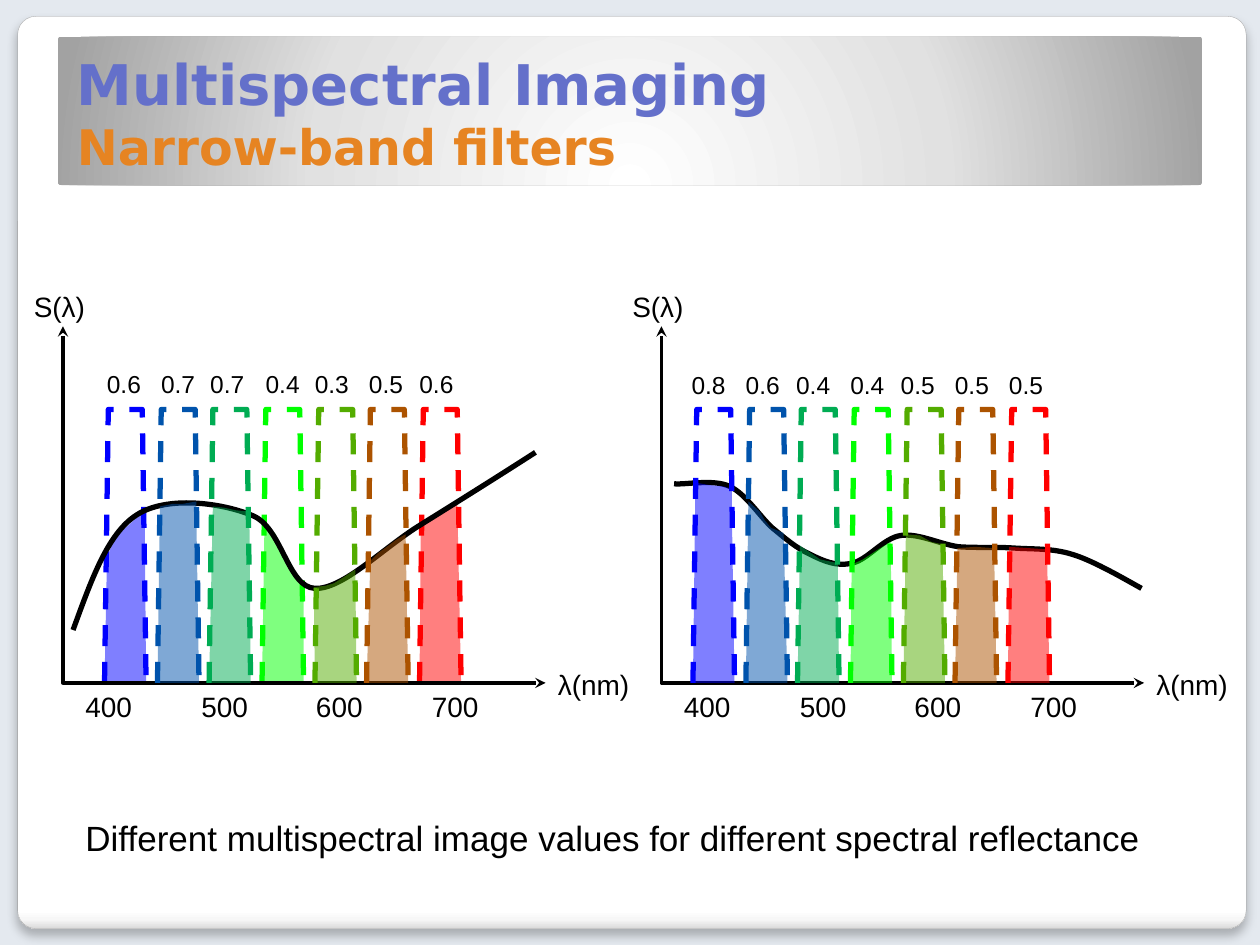
from pptx import Presentation, util as u
from pptx.dml.color import RGBColor
from pptx.enum import dml, shapes, text
from pptx.oxml import parse_xml
from pptx.oxml.ns import nsdecls
from pptx.oxml.xmlchemy import OxmlElement

PX = 9144
BLACK = RGBColor(0, 0, 0)
BACK = RGBColor(0xE4, 0xE9, 0xEF)
EDGE = RGBColor(0xA4, 0xA4, 0xA4)
VIOLET = RGBColor(0x64, 0x70, 0xCA)
ORANGE = RGBColor(0xE6, 0x84, 0x22)
HUES = [RGBColor.from_string(h) for h in
        "0000FF 0053AC 00AC53 00FF00 53AC00 AC5300 FF0000".split()]
BASE, TOP = 542, 325

TITLE = [("Multispectral Imaging", 32, VIOLET), ("Narrow-band filters", 28, ORANGE)]
CAPTION = "Different multispectral image values for different spectral reflectance"
TICKS = ["400", "500", "600", "700"]
CARD = [(0, "FFFFFF"), (98, "FFFFFF"), (99, "F7F7F7"), (100, "DADADA")]
BANNER = [(0, "FFFFFF"), (55, "E1E1E1"), (100, "A2A2A2")]
PANELS = [
    dict(axis=50, first=83, under=(0, 3, 6), row=288,
         values=[("0.6", 75), ("0.7", 118), ("0.7", 157), ("0.4", 201),
                 ("0.3", 240), ("0.5", 283), ("0.6", 323)],
         curve=[(58, 500), (72, 462), (85, 424), (108, 409), (132, 393), (176, 399),
                (200, 409), (224, 418), (228, 466), (250, 467), (272, 468),
                (304, 435), (333, 417), (362, 399), (394, 379), (425, 359)],
         areas=[[(85, 442), (92, 425), (102, 417), (114, 405), (115, 417)],
                [(127, 402), (137, 400), (145, 400), (156, 398), (156, 417)],
                [(169, 402), (178, 403), (187, 405), (197, 406), (198, 407)],
                [(210, 414), (219, 424), (226, 444), (241, 462)],
                [(249, 466), (258, 465), (265, 463), (273, 458), (282, 452)],
                [(294, 445), (300, 439), (307, 434), (315, 428), (322, 424)],
                [(334, 417), (363, 399)]]),
    dict(axis=525, first=550, under=(), row=289,
         values=[("0.8", 539), ("0.6", 582), ("0.4", 622), ("0.4", 665),
                 ("0.5", 705), ("0.5", 748), ("0.5", 791)],
         curve=[(535, 384), (543, 385), (566, 380), (579, 386), (592, 392), (603, 410),
                (613, 419), (624, 428), (632, 435), (643, 440), (653, 445), (664, 450),
                (676, 447), (688, 445), (701, 427), (715, 425), (729, 423), (746, 432),
                (761, 434), (776, 435), (790, 434), (805, 435), (820, 436), (835, 435),
                (851, 440), (868, 445), (895, 461), (906, 467)],
         areas=[[(552, 383), (563, 385), (574, 386), (581, 388), (581, 413)],
                [(594, 398), (603, 406), (607, 413), (612, 419), (622, 423)],
                [(635, 433), (651, 444), (665, 447)],
                [(676, 448), (685, 444), (697, 436), (707, 430)],
                [(719, 424), (730, 425), (739, 430), (748, 432)],
                [(760, 435), (774, 434), (789, 435)],
                [(801, 434), (831, 436)]]),
]

prs = Presentation()
prs.slide_width, prs.slide_height = 1000 * PX, 750 * PX
slide = prs.slides.add_slide(prs.slide_layouts[5])
slide.background.fill.solid()
slide.background.fill.fore_color.rgb = BACK


def panel_box(box, stops, kind):
    shp = slide.shapes.add_shape(shapes.MSO_SHAPE.ROUNDED_RECTANGLE, *[v * PX for v in box])
    shp.adjustments[0] = 0.02
    shp.shadow.inherit = False
    shp.line.fill.background()
    marks = "".join(f'<a:gs pos="{p * 1000}"><a:srgbClr val="{c}"/></a:gs>' for p, c in stops)
    props = shp._element.spPr
    props.find("./{*}prstGeom").addnext(parse_xml(
        f'<a:gradFill {nsdecls("a")} rotWithShape="1"><a:gsLst>{marks}</a:gsLst>{kind}</a:gradFill>'))
    return shp


def label(txt, x, y, w, h, size):
    box = slide.shapes.add_textbox(x * PX, y * PX, w * PX, h * PX)
    frame = box.text_frame
    frame.word_wrap = False
    frame.auto_size = text.MSO_AUTO_SIZE.SHAPE_TO_FIT_TEXT
    par = frame.paragraphs[0]
    par.text = txt
    par.font.size, par.font.name, par.font.color.rgb = u.Pt(size), "Arial", BLACK


def outline(pts, color, width=None, close=False):
    pen = slide.shapes.build_freeform(*pts[0], scale=PX)
    pen.add_line_segments(pts[1:], close=close)
    shp = pen.convert_to_shape()
    shp.shadow.inherit = False
    if width:
        shp.fill.background()
        shp.line.color.rgb = color
        shp.line.width = u.Pt(width)
    else:
        shp.fill.solid()
        shp.fill.fore_color.rgb = color
        shp.line.fill.background()
    return shp


def bend(shp):
    steps = shp._element.xpath(".//a:lnTo")
    for i in range(0, len(steps), 3):
        arc = OxmlElement("a:cubicBezTo")
        steps[i].addprevious(arc)
        for step in steps[i:i + 3]:
            arc.append(step[0])
            step.getparent().remove(step)


def band(pan, i):
    x = pan["first"] + round(i * 125 / 3)
    left, right = (x, BASE), (x + 33, BASE)
    area = outline([left, *pan["areas"][i], right], HUES[i], close=True)
    alpha = OxmlElement("a:alpha")
    alpha.set("val", "50000")
    area._element.xpath("./p:spPr/a:solidFill/a:srgbClr")[0].append(alpha)
    edge = outline([left, (x + 3, TOP), (x + 30, TOP), right], HUES[i], 3)
    edge.line.dash_style = dml.MSO_LINE.DASH


def draw(pan):
    ax = pan["axis"]
    for i in pan["under"]:
        band(pan, i)
    bend(outline(pan["curve"], BLACK, 3))
    axes = outline([(ax + 383, BASE), (ax, BASE), (ax, 259)], BLACK, 2)
    for end in ("a:headEnd", "a:tailEnd"):
        tip = OxmlElement(end)
        tip.set("type", "stealth")
        axes.line._ln.append(tip)
    for i, tick in enumerate(TICKS):
        label(tick, ax + 8 + round(i * 275 / 3), BASE, 57, 37, 16)
    label("λ(nm)", ax + 383, 525, 78, 37, 16)
    label("S(λ)", ax - 33, 225, 62, 37, 16)
    for i in range(len(HUES)):
        if i not in pan["under"]:
            band(pan, i)
    for val, x in pan["values"]:
        label(val, x, pan["row"], 47, 34, 14)


card = panel_box((14, 13, 975, 724), CARD, '<a:lin ang="5400000" scaled="0"/>')
card.line.color.rgb = EDGE
card.line.width = u.Pt(0.16)
card._element.spPr.find("./{*}effectLst").append(parse_xml(
    f'<a:outerShdw {nsdecls("a")} blurRad="76200" dist="50800" dir="5400000" algn="t" rotWithShape="0">'
    '<a:srgbClr val="000000"><a:alpha val="25000"/></a:srgbClr></a:outerShdw>'))
panel_box((46, 29, 908, 118), BANNER,
          '<a:path path="circle"><a:fillToRect l="50000" t="175000" r="50000" b="-75000"/></a:path>')

head = slide.shapes.title
slide.shapes._spTree.append(head._element)
head.left, head.top, head.width, head.height = [v * PX for v in (51, 29, 895, 115)]
frame = head.text_frame
frame.vertical_anchor = text.MSO_ANCHOR.BOTTOM
frame.auto_size = text.MSO_AUTO_SIZE.NONE
par = frame.paragraphs[0]
par.alignment = text.PP_ALIGN.LEFT
for i, (txt, size, color) in enumerate(TITLE):
    if i:
        par.add_line_break()
    run = par.add_run()
    run.text = txt
    run.font.size, run.font.color.rgb = u.Pt(size), color
    run.font.name, run.font.bold = "DejaVu Sans", True

for pan in PANELS:
    draw(pan)
label(CAPTION, 58, 643, 863, 44, 20)
prs.save("out.pptx")
